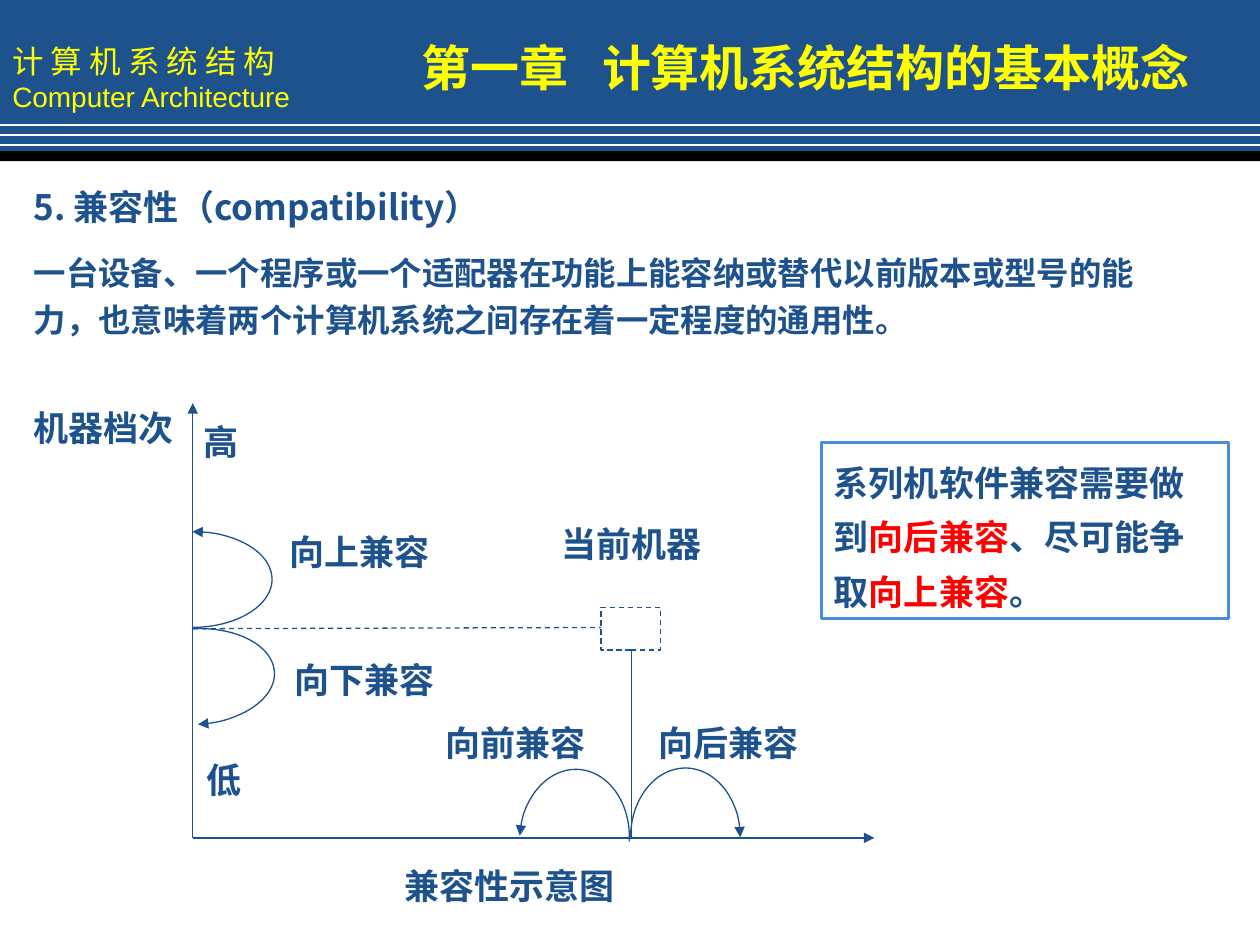
from lxml import etree
from pptx import Presentation
from pptx.dml.color import RGBColor
from pptx.enum.dml import MSO_LINE
from pptx.enum.shapes import MSO_CONNECTOR, MSO_SHAPE
from pptx.enum.text import MSO_ANCHOR, MSO_AUTO_SIZE, PP_ALIGN
from pptx.oxml.ns import qn
from pptx.util import Inches, Pt

BLUE = RGBColor(0x1D, 0x52, 0x8D)
LIGHT_BLUE = RGBColor(0x46, 0x8D, 0xDC)
YELLOW = RGBColor(0xFF, 0xFF, 0x00)
RED = RGBColor(0xFF, 0x00, 0x00)
WHITE = RGBColor(0xFF, 0xFF, 0xFF)
BLACK = RGBColor(0x00, 0x00, 0x00)

CJK = "Noto Sans CJK SC"
DASH = MSO_LINE.DASH
RECT, ARC = MSO_SHAPE.RECTANGLE, MSO_SHAPE.ARC
STRAIGHT = MSO_CONNECTOR.STRAIGHT
TOP, MIDDLE = MSO_ANCHOR.TOP, MSO_ANCHOR.MIDDLE
LEFT = PP_ALIGN.LEFT
GROW = MSO_AUTO_SIZE.SHAPE_TO_FIT_TEXT

AXIS_X, AXIS_Y = 1.53, 6.65
NOW_X, NOW_Y = 5.01, 4.99
ANGLE_UNIT = 0.6  # adjustment value of one degree


def style_line(sp, color=BLUE, width=0.75, dash=None, head=False, tail=False):
    sp.line.color.rgb = color
    sp.line.width = Pt(width)
    if dash:
        sp.line.dash_style = dash
    ln = sp.line._get_or_add_ln()
    for tag, wanted in (("a:headEnd", head), ("a:tailEnd", tail)):
        if wanted:
            etree.SubElement(ln, qn(tag), type="triangle")


def add_line(s, start, end, **fmt):
    x1, y1, x2, y2 = (Inches(v) for v in (*start, *end))
    line = s.shapes.add_connector(STRAIGHT, x1, y1, x2, y2)
    style_line(line, **fmt)
    etree.SubElement(line._element.spPr, qn("a:effectLst"))


def add_shape(s, x, y, w, h, kind=RECT, fill=None, **line):
    sp = s.shapes.add_shape(kind, Inches(x), Inches(y), Inches(w), Inches(h))
    sp.shadow.inherit = False
    if fill is None:
        sp.fill.background()
    else:
        sp.fill.solid()
        sp.fill.fore_color.rgb = fill
    if line:
        style_line(sp, **line)
    else:
        sp.line.fill.background()
    return sp


def add_half_arc(s, x, y, w, h, rotation, **line):
    """Right half of an ellipse, turned by rotation."""
    sp = add_shape(s, x, y, w, h, kind=ARC, **line)
    sp.adjustments[0] = 270 * ANGLE_UNIT
    sp.adjustments[1] = 90 * ANGLE_UNIT
    sp.rotation = rotation


def set_run(p, text, size, color, font, bold):
    r = p.add_run()
    r.text = text
    r.font.size = Pt(size)
    r.font.bold = bold
    r.font.color.rgb = color
    r.font.name = font
    etree.SubElement(r._r.get_or_add_rPr(), qn("a:ea"), typeface=font)


def write(sp, runs, size=20, color=BLUE, font=CJK, bold=True, spacing=None,
          before=0, wrap=True, anchor=TOP, grow=True, tab=None, new=False):
    """Write a string, or (text, color) runs, as one paragraph of a shape."""
    tf = sp.text_frame
    tf.word_wrap = wrap
    tf.vertical_anchor = anchor
    if grow:
        tf.auto_size = GROW
    p = tf.add_paragraph() if new else tf.paragraphs[0]
    p.alignment = LEFT
    p.space_before = Pt(before)
    if spacing:
        p.line_spacing = spacing
    if tab:
        tabs = etree.SubElement(p._p.get_or_add_pPr(), qn("a:tabLst"))
        etree.SubElement(tabs, qn("a:tab"), pos=str(Inches(tab)), algn="l")
    if isinstance(runs, str):
        runs = [(runs, color)]
    for text, run_color in runs:
        set_run(p, text, size, run_color, font, bold)


def add_text(s, text, x, y, w, h=0.44, **fmt):
    box = s.shapes.add_textbox(Inches(x), Inches(y), Inches(w), Inches(h))
    write(box, text, **fmt)


def add_header(s):
    band = add_shape(s, 0, 0, 10, 1.23, fill=BLUE)
    course = dict(color=YELLOW, bold=False, anchor=MIDDLE, grow=False)
    write(band, "计 算 机 系 统 结 构", size=18, **course)
    write(band, "Computer Architecture", size=16, font="Arial", new=True, **course)
    add_shape(s, 0, 1.2, 10, 0.08, fill=BLACK)
    for i in range(3):
        y = 0.99 + 0.08 * i
        add_line(s, (0, y), (10, y), color=WHITE, width=1)
    add_text(s, "第一章\t计算机系统结构的基本概念", 3.25, 0.25, 6.67, 0.57,
             size=28, color=YELLOW, before=17.5, tab=1.43)


def add_diagram(s):
    # Axes
    origin = (AXIS_X, AXIS_Y)
    add_line(s, origin, (AXIS_X, 3.2), tail=True)
    add_line(s, origin, (6.94, AXIS_Y), tail=True)

    # Compatibility arcs: backward, forward, down, up
    add_half_arc(s, 4.89, 6.21, 1.1, 0.87, 270, tail=True)
    add_half_arc(s, 4.01, 6.22, 1.1, 0.87, 273, head=True)
    add_half_arc(s, 0.92, 4.99, 1.26, 0.76, 356.7, tail=True)
    add_half_arc(s, 0.9, 4.22, 1.26, 0.76, 359.7, head=True)

    # Current machine and its guides
    add_line(s, (AXIS_X, NOW_Y), (4.77, 4.98), dash=DASH)
    add_shape(s, 4.77, 4.82, 0.47, 0.34, color=BLUE, dash=DASH)
    add_line(s, (NOW_X, AXIS_Y), (NOW_X, 5.15))

    # Labels
    labels = [
        ("当前机器", 4.36, 4.1), ("向后兼容", 5.13, 5.68),
        ("向前兼容", 3.44, 5.68), ("向上兼容", 2.2, 4.16),
        ("向下兼容", 2.24, 5.18), ("机器档次", 0.17, 3.18),
        ("低", 1.54, 5.97), ("高", 1.52, 3.29),
    ]
    for text, x, y in labels:
        width = 0.2 + 0.28 * len(text)
        add_text(s, text, x, y, width, wrap=False)
    add_text(s, "兼容性示意图", 3.11, 6.81, 2.57, before=5)


def main():
    prs = Presentation()
    prs.slide_width, prs.slide_height = Inches(10), Inches(7.5)
    s = prs.slides.add_slide(prs.slide_layouts[6])

    add_header(s)

    # Definition
    add_text(s, "一台设备、一个程序或一个适配器在功能上能容纳或替代以前版本或型号的能力，"
             "也意味着两个计算机系统之间存在着一定程度的通用性。",
             0.17, 1.9, 9.08, 0.85, size=18.5, spacing=1.2, before=5, grow=False)
    add_text(s, "5. 兼容性（compatibility）", 0.17, 1.42, 9.58, before=5)

    add_diagram(s)

    # Requirement box
    box = add_shape(s, 6.52, 3.51, 3.23, 1.4, color=LIGHT_BLUE, width=1.75)
    write(box, [("系列机软件兼容需要做到", BLUE), ("向后兼容", RED),
                ("、尽可能争取", BLUE), ("向上兼容", RED), ("。", BLUE)],
          spacing=1.3, before=5)

    prs.save("out.pptx")


if __name__ == "__main__":
    main()
